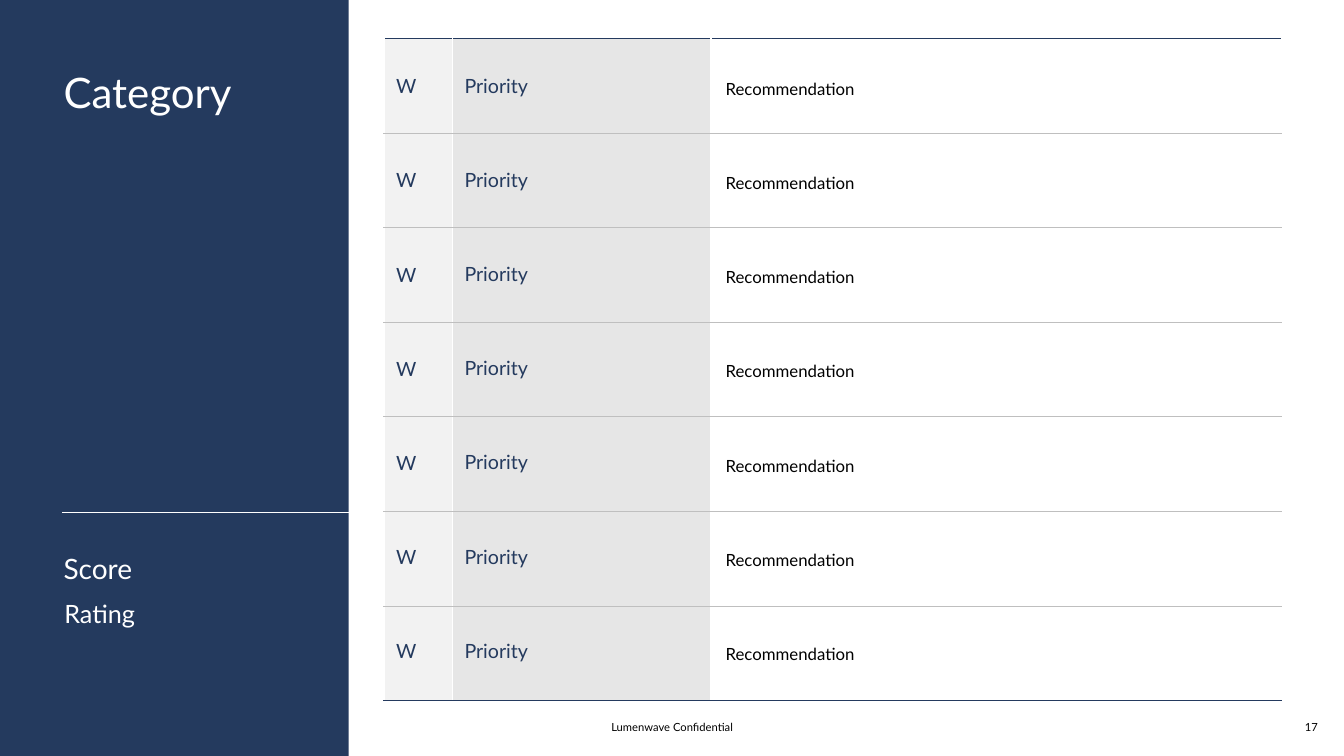
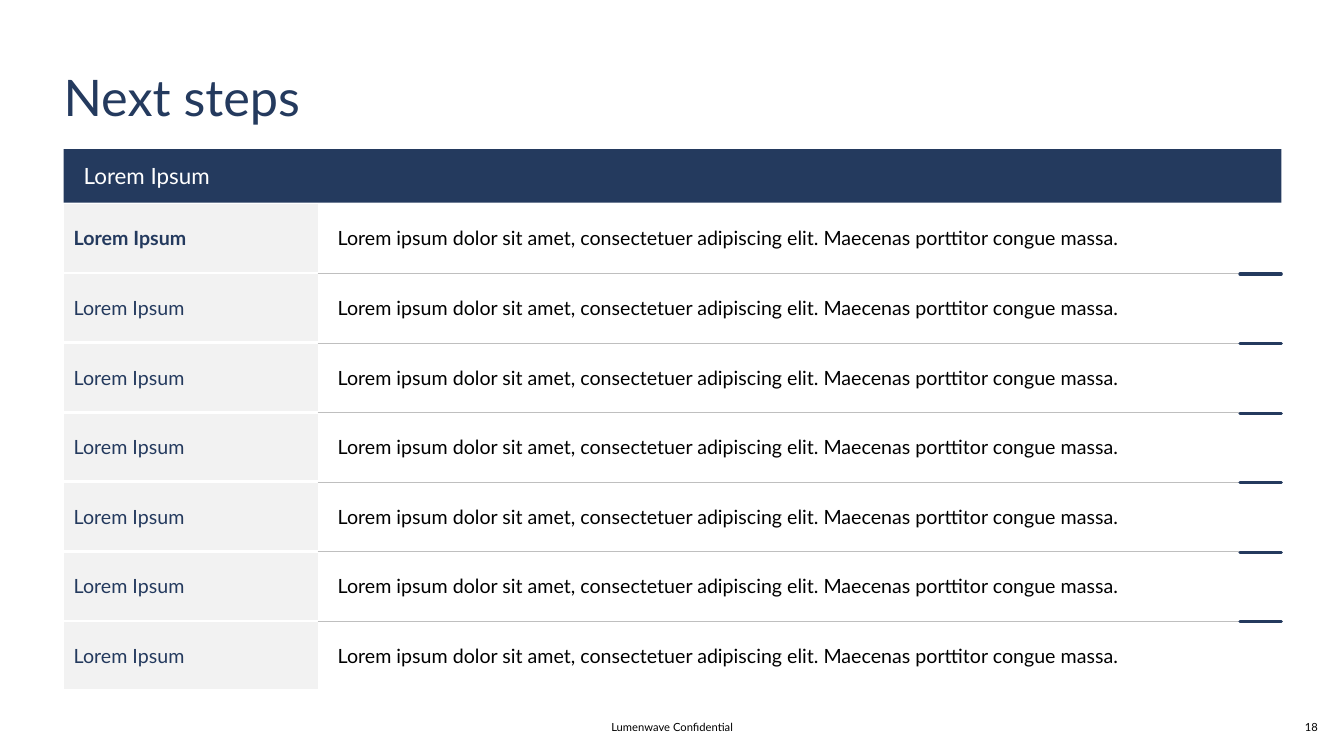
from dataclasses import dataclass

from lxml import etree
from pptx import Presentation
from pptx.dml.color import RGBColor
from pptx.enum.shapes import MSO_CONNECTOR, MSO_SHAPE
from pptx.enum.text import MSO_ANCHOR, MSO_AUTO_SIZE, PP_ALIGN
from pptx.oxml.ns import qn
from pptx.util import Pt

LINE = MSO_CONNECTOR.STRAIGHT
RECTANGLE = MSO_SHAPE.RECTANGLE
TOP, MIDDLE = MSO_ANCHOR.TOP, MSO_ANCHOR.MIDDLE
LEFT, CENTER = PP_ALIGN.LEFT, PP_ALIGN.CENTER
GROW = MSO_AUTO_SIZE.SHAPE_TO_FIT_TEXT


@dataclass(frozen=True)
class Theme:
    font: str = "Lato"
    navy: str = "243A5E"
    white: str = "FFFFFF"
    black: str = "000000"
    pale: str = "F2F2F2"
    grey: str = "E6E6E6"
    rule: str = "BFBFBF"
    title: float = 36
    panel_title: float = 30
    score: float = 20
    rating: float = 18
    header: float = 16
    body: float = 14
    detail: float = 12
    footer: float = 8


THEME = Theme()
NO_INSETS = (0, 0, 0, 0)
BOX_INSETS = (7.2, 3.6, 7.2, 3.6)
ROW_COUNT = 7
STEP_TEXT = ("Lorem ipsum dolor sit amet, consectetuer adipiscing elit. "
             "Maecenas porttitor congue massa.")


# Text
def write_text(frame, text, *, size=THEME.body, color=THEME.navy, bold=False, align=LEFT):
    paragraph = frame.paragraphs[0]
    paragraph.alignment = align
    run = paragraph.add_run()
    run.text = text
    run.font.name = THEME.font
    run.font.size = Pt(size)
    run.font.bold = bold
    run.font.color.rgb = RGBColor.from_string(color)


def set_insets(target, insets):
    sides = ("margin_left", "margin_top", "margin_right", "margin_bottom")
    for side, inset in zip(sides, insets):
        setattr(target, side, Pt(inset))


def fit_frame(frame, insets, anchor):
    set_insets(frame, insets)
    frame.word_wrap = True
    frame.auto_size = GROW
    frame.vertical_anchor = anchor


def add_text(slide, text, at, *, insets=BOX_INSETS, anchor=TOP, **text_format):
    frame = slide.shapes.add_textbox(*map(Pt, at)).text_frame
    fit_frame(frame, insets, anchor)
    write_text(frame, text, **text_format)


# Shapes and lines
def add_band(slide, at):
    band = slide.shapes.add_shape(RECTANGLE, *map(Pt, at))
    band.shadow.inherit = False
    band.fill.solid()
    band.fill.fore_color.rgb = RGBColor.from_string(THEME.navy)
    band.line.fill.background()
    return band


def add_rule(slide, left, right, y, color, width, cap="flat"):
    rule = slide.shapes.add_connector(LINE, Pt(left), Pt(y), Pt(right), Pt(y))
    rule.line.color.rgb = RGBColor.from_string(color)
    rule.line.width = Pt(width)
    properties = rule.element.spPr
    properties.find(qn("a:ln")).set("cap", cap)
    etree.SubElement(properties, qn("a:effectLst"))


# Tables
def add_plain_table(slide, left, top, column_widths, row_height):
    table = slide.shapes.add_table(
        ROW_COUNT, len(column_widths), Pt(left), Pt(top),
        Pt(sum(column_widths)), Pt(row_height * ROW_COUNT)).table
    table.first_row = table.horz_banding = False
    for column, width in zip(table.columns, column_widths):
        column.width = Pt(width)
    for row in table.rows:
        row.height = Pt(row_height)
    return table


def style_cell(cell, fill, **borders):
    """Each border is a (color, width) pair; a side left out has no line."""
    properties = cell._tc.get_or_add_tcPr()
    for side in "LRTB":
        border = etree.SubElement(properties, qn(f"a:ln{side}"))
        color, width = borders.get(side) or (None, 0)
        border.set("w", str(int(Pt(width))))
        if color:
            solid = etree.SubElement(border, qn("a:solidFill"))
            etree.SubElement(solid, qn("a:srgbClr")).set("val", color)
        else:
            etree.SubElement(border, qn("a:noFill"))
    if fill:
        cell.fill.solid()
        cell.fill.fore_color.rgb = RGBColor.from_string(fill)
    else:
        cell.fill.background()


# Shared slide parts
def add_title(slide, text, width, height, **text_format):
    add_text(slide, text, (45.4, 47.5, width, height), insets=NO_INSETS, **text_format)


def add_footer(slide, number):
    for text, left, width in (("Lumenwave Confidential", 318.2, 324),
                              (str(number), 920.9, 31.7)):
        add_text(slide, text, (left, 514.8, width, 9.4), insets=NO_INSETS,
                 anchor=MIDDLE, size=THEME.footer, color=THEME.black, align=CENTER)


# Slides
def build_category(slide):
    # Side panel
    add_band(slide, (0, 0, 249.1, 540))
    add_title(slide, "Category", 185.8, 36, size=THEME.panel_title, color=THEME.white)
    add_rule(slide, 44.6, 249.1, 365.8, THEME.white, 0.75)
    add_text(slide, "Score", (45.4, 393.8, 173.5, 24), insets=NO_INSETS,
             anchor=MIDDLE, size=THEME.score, color=THEME.white)
    add_text(slide, "Rating", (38.9, 424.1, 180, 28.8),
             size=THEME.rating, color=THEME.white)

    # Grid
    grid = add_plain_table(slide, 274.3, 27.4, (49.2, 184.4, 407.4), 67.6)
    divider, outer, inner = (THEME.white, 1), (THEME.navy, 1), (THEME.rule, 0.5)
    for row in range(ROW_COUNT):
        for column, fill in enumerate((THEME.pale, THEME.grey, None)):
            style_cell(grid.cell(row, column), fill, L=divider, R=divider,
                       T=outer if row == 0 else inner,
                       B=outer if row == ROW_COUNT - 1 else inner)

    # Row labels
    for row in range(ROW_COUNT):
        offset = 67.3 * row
        add_text(slide, "W", (275.8, 49 + offset, 47.5, 24.5), anchor=MIDDLE)
        add_text(slide, "Priority", (324.7, 49 + offset, 185.8, 24.5))
        add_text(slide, "Recommendation", (511.2, 52.4 + offset, 389.5, 21.6),
                 anchor=MIDDLE, size=THEME.detail, color=THEME.black)


def build_next_steps(slide):
    left, width, top, row_height = 45.4, 869.8, 145.4, 49.7
    right = left + width
    add_title(slide, "Next steps", 867.6, 43.9, size=THEME.title)

    # Header band
    header = add_band(slide, (left, 106.6, width, 38.2)).text_frame
    fit_frame(header, (14.4, 9.4, 14.4, 9.4), TOP)
    write_text(header, "Lorem Ipsum", size=THEME.header, color=THEME.white)

    # Steps
    steps = add_plain_table(slide, left, top, (181.4, width - 181.4), row_height)
    gap, hairline = (THEME.white, 2.25), (THEME.rule, 0.25)
    for row in range(ROW_COUNT):
        step, description = steps.cell(row, 0), steps.cell(row, 1)
        style_cell(step, THEME.pale, T=gap if row else None, B=gap)
        style_cell(description, None, T=hairline if row else None,
                   B=hairline if row < ROW_COUNT - 1 else None)
        step.vertical_anchor = description.vertical_anchor = MIDDLE
        set_insets(step, BOX_INSETS)
        set_insets(description, (14.4, 3.6, 7.2, 3.6))
        write_text(step.text_frame, "Lorem Ipsum", bold=row == 0)
        write_text(description.text_frame, STEP_TEXT, color=THEME.black)

    # Accents at the row ends
    for row in range(1, ROW_COUNT):
        add_rule(slide, right - 29.5, right, top + 0.6 + row_height * row,
                 THEME.navy, 2.25, cap="rnd")


def main():
    deck = Presentation()
    deck.slide_width, deck.slide_height = Pt(960), Pt(540)
    blank = deck.slide_layouts[6]
    for number, build in enumerate((build_category, build_next_steps), start=17):
        slide = deck.slides.add_slide(blank)
        build(slide)
        add_footer(slide, number)
    deck.save("out.pptx")


if __name__ == "__main__":
    main()
